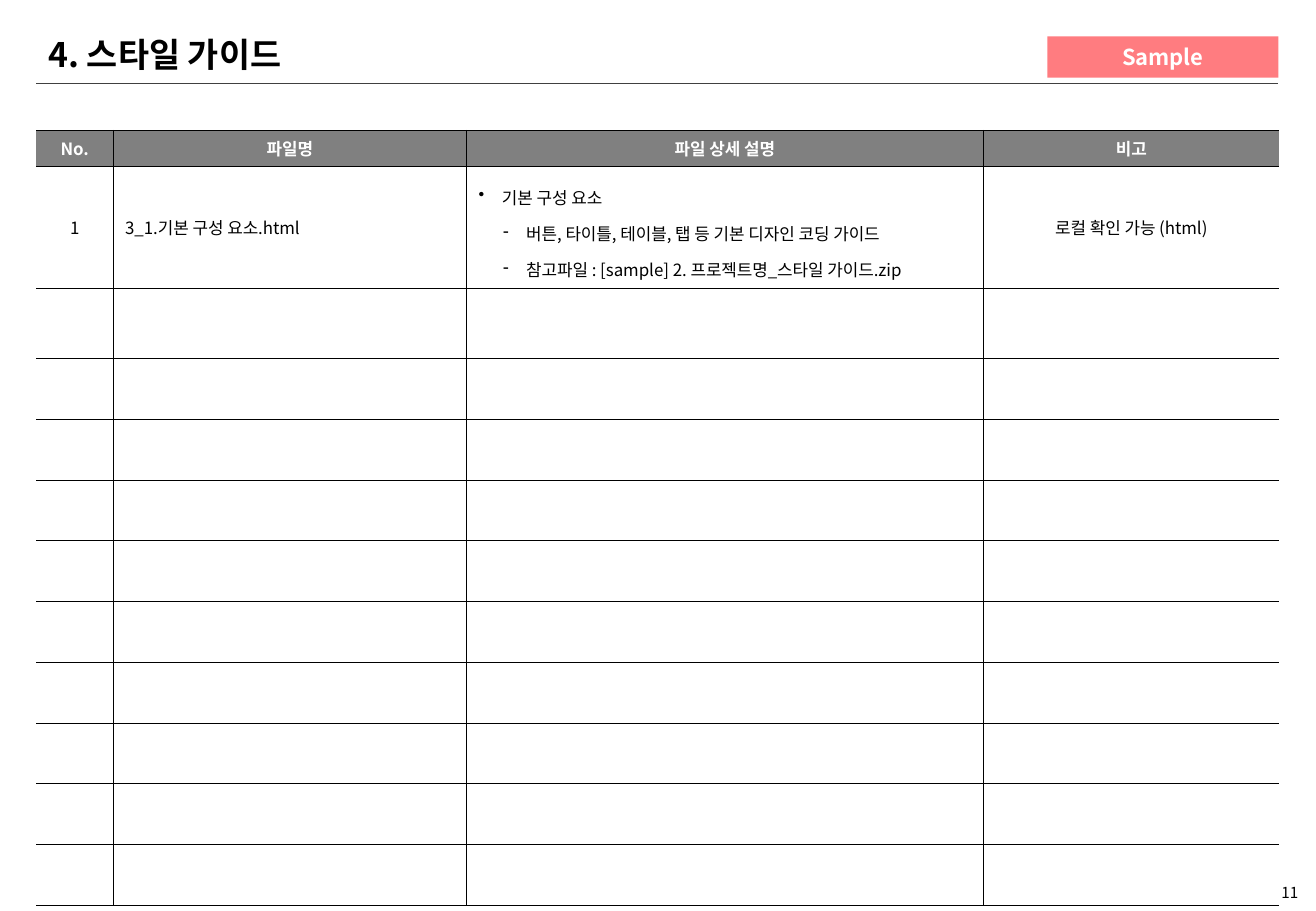
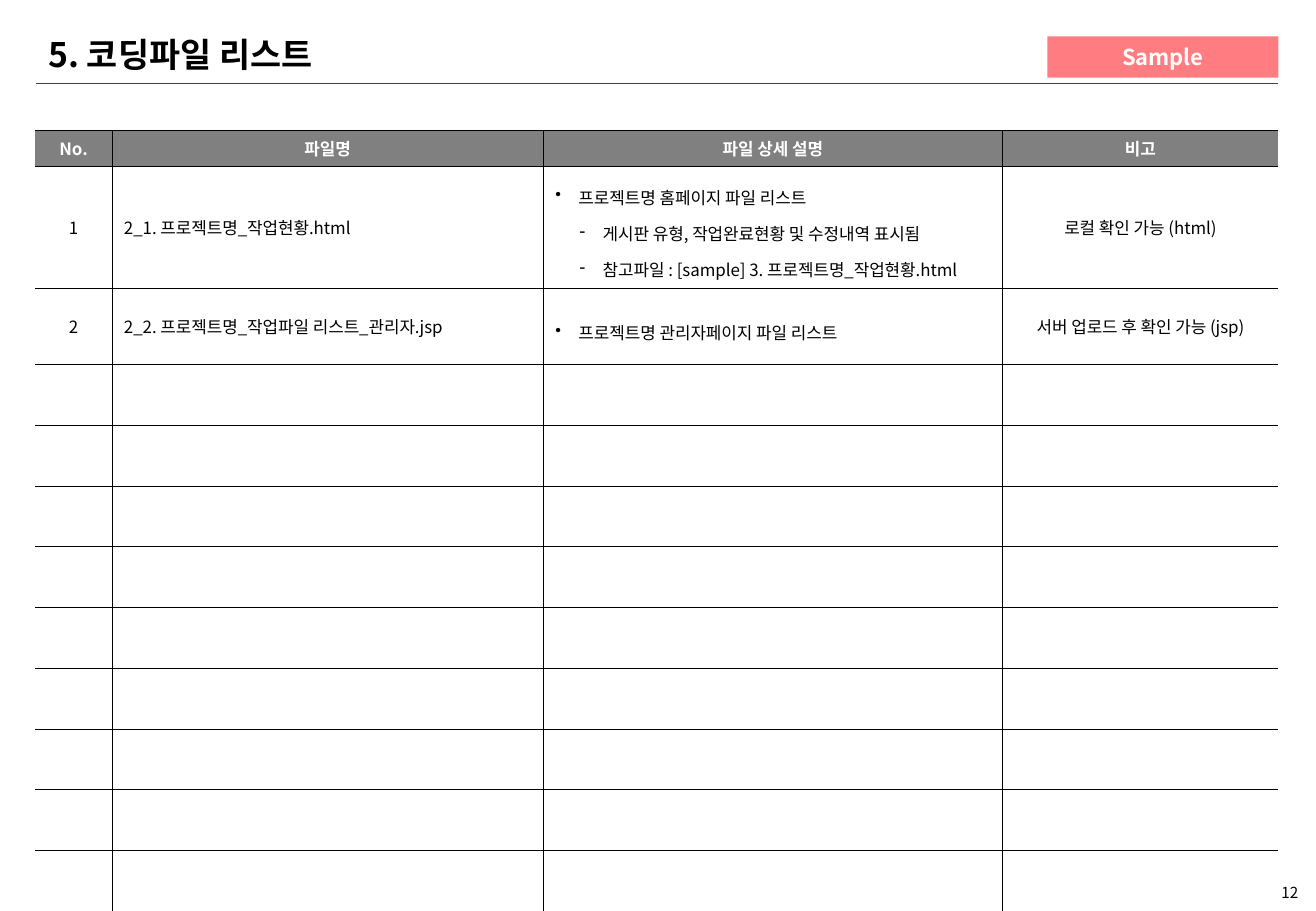
import dataclasses

import lxml.etree
import pptx
import pptx.dml.color
import pptx.enum.shapes
import pptx.enum.text
import pptx.oxml
import pptx.oxml.ns
import pptx.util

Inches = pptx.util.Inches
Pt = pptx.util.Pt
qn = pptx.oxml.ns.qn
ALIGN = pptx.enum.text.PP_ALIGN
MIDDLE = pptx.enum.text.MSO_ANCHOR.MIDDLE


@dataclasses.dataclass(frozen=True)
class Theme:
    font: str = "Noto Sans CJK KR"
    text: str = "000000"
    inverse: str = "FFFFFF"
    rule: str = "404040"
    header: str = "808080"
    body: str = "FFFFFF"
    badge: str = "FF7C80"
    border: str = "000000"
    title_size: float = 20
    badge_size: float = 13
    table_size: float = 10
    number_size: float = 9
    rule_width: float = 0.75
    border_width: float = 0.25


THEME = Theme()
NO_GRID_STYLE = "{2D5ABB26-0587-4C30-8999-92F81FD0307C}"
HEADINGS = ["No.", "파일명", "파일 상세 설명", "비고"]
COLUMN_ALIGNMENTS = [ALIGN.CENTER, ALIGN.LEFT, ALIGN.LEFT, ALIGN.CENTER]
ROW_COUNT = 12
HEADER_HEIGHT = 0.3
EMPTY_HEIGHT = 0.5
TABLE_TOP = 1.07
BULLET_MARKS = ["•", "-"]
BULLET_MARGINS = [0.19, 0.39]
BULLET_HANG = 0.19


def rgb(value):
    return pptx.dml.color.RGBColor.from_string(value)


def add_run(paragraph, text, size, color, bold=False):
    run = paragraph.add_run()
    run.text = text
    run.font.size = Pt(size)
    run.font.bold = bold
    run.font.name = THEME.font
    run.font.color.rgb = rgb(color)
    east_asian = lxml.etree.SubElement(run.font._element, qn("a:ea"))
    east_asian.set("typeface", THEME.font)


def add_label(slide, box, text, size, alignment, bold=False):
    shape = slide.shapes.add_textbox(*map(Inches, box))
    frame = shape.text_frame
    frame.word_wrap = True
    frame.vertical_anchor = MIDDLE
    frame.paragraphs[0].alignment = alignment
    add_run(frame.paragraphs[0], text, size, THEME.text, bold)


def add_rule(slide, left, right, top):
    line = slide.shapes.add_connector(
        pptx.enum.shapes.MSO_CONNECTOR.STRAIGHT,
        Inches(left), Inches(top), Inches(right), Inches(top))
    line.line.color.rgb = rgb(THEME.rule)
    line.line.width = Pt(THEME.rule_width)
    lxml.etree.SubElement(line._element.spPr, qn("a:effectLst"))


def add_badge(slide, box, text):
    shape = slide.shapes.add_shape(
        pptx.enum.shapes.MSO_SHAPE.RECTANGLE, *map(Inches, box))
    shape.shadow.inherit = False
    shape.fill.solid()
    shape.fill.fore_color.rgb = rgb(THEME.badge)
    shape.line.fill.background()
    frame = shape.text_frame
    frame.vertical_anchor = MIDDLE
    frame.margin_top = frame.margin_bottom = 0
    frame.paragraphs[0].alignment = ALIGN.CENTER
    add_run(frame.paragraphs[0], text, THEME.badge_size, THEME.inverse, True)


def set_bullet(paragraph, level):
    paragraph.level = level
    paragraph.line_spacing = 1.5
    properties = paragraph._p.get_or_add_pPr()
    properties.set("marL", str(Inches(BULLET_MARGINS[level])))
    properties.set("indent", str(-Inches(BULLET_HANG)))
    mark = lxml.etree.SubElement(properties, qn("a:buChar"))
    mark.set("char", BULLET_MARKS[level])


def set_borders(cell, sides):
    """Draw thin lines on the given sides, named L, R, T and B in that order."""
    properties = cell._tc.get_or_add_tcPr()
    for position, side in enumerate(sides):
        line = lxml.etree.Element(qn(f"a:ln{side}"))
        line.set("w", str(Pt(THEME.border_width)))
        fill = lxml.etree.SubElement(line, qn("a:solidFill"))
        lxml.etree.SubElement(fill, qn("a:srgbClr")).set("val", THEME.border)
        properties.insert(position, line)


def fill_cell(cell, content, alignment, is_header):
    """Write a string, or a list of strings as a bullet with sub-bullets."""
    cell.vertical_anchor = MIDDLE
    cell.fill.solid()
    cell.fill.fore_color.rgb = rgb(THEME.header if is_header else THEME.body)
    color = THEME.inverse if is_header else THEME.text
    bulleted = isinstance(content, list)
    frame = cell.text_frame
    for index, text in enumerate(content if bulleted else [content]):
        paragraph = frame.add_paragraph() if index else frame.paragraphs[0]
        paragraph.alignment = alignment
        if bulleted:
            set_bullet(paragraph, min(index, 1))
        if text:
            add_run(paragraph, text, THEME.table_size, color, is_header)


def add_file_table(slide, left, column_widths, body_heights, records):
    """Build the table, padding it with empty rows up to ROW_COUNT."""
    heights = [HEADER_HEIGHT, *body_heights]
    heights += [EMPTY_HEIGHT] * (ROW_COUNT - len(heights))
    contents = [HEADINGS, *records]
    contents += [[""] * len(HEADINGS)] * (ROW_COUNT - len(contents))
    frame = slide.shapes.add_table(
        ROW_COUNT, len(HEADINGS), Inches(left), Inches(TABLE_TOP),
        Inches(sum(column_widths)), Inches(sum(heights)))
    table = frame.table
    table.horz_banding = False
    table._tbl.tblPr.find(qn("a:tableStyleId")).text = NO_GRID_STYLE
    for column, width in zip(table.columns, column_widths):
        column.width = Inches(width)
    last_column = len(HEADINGS) - 1
    for row_index, (height, row) in enumerate(zip(heights, contents)):
        table.rows[row_index].height = Inches(height)
        is_header = row_index == 0
        for column_index, content in enumerate(row):
            cell = table.cell(row_index, column_index)
            alignment = ALIGN.CENTER if is_header else COLUMN_ALIGNMENTS[column_index]
            fill_cell(cell, content, alignment, is_header)
            left_side = "L" if column_index > 0 else ""
            right_side = "R" if column_index < last_column else ""
            set_borders(cell, left_side + right_side + "TB")


def add_page(presentation, title, number):
    slide = presentation.slides.add_slide(presentation.slide_layouts[6])
    add_rule(slide, 0.3, 10.52, 0.69)
    add_label(slide, (10.38, 7.19, 0.47, 0.31), str(number),
              THEME.number_size, ALIGN.CENTER)
    add_label(slide, (0.3, 0.21, 10.24, 0.47), title,
              THEME.title_size, ALIGN.LEFT, True)
    add_badge(slide, (8.62, 0.3, 1.9, 0.34), "Sample")
    return slide


def main():
    presentation = pptx.Presentation()
    presentation.slide_width = Inches(10.83)
    presentation.slide_height = Inches(7.5)

    style_guide = add_page(presentation, "4. 스타일 가이드", 11)
    add_file_table(style_guide, 0.3, [0.63, 2.91, 4.25, 2.44], [1, 0.58], [
        ["1", "3_1.기본 구성 요소.html",
         ["기본 구성 요소",
          "버튼, 타이틀, 테이블, 탭 등 기본 디자인 코딩 가이드",
          "참고파일 : [sample] 2. 프로젝트명_스타일 가이드.zip"],
         "로컬 확인 가능 (html)"],
    ])

    coding_files = add_page(presentation, "5. 코딩파일 리스트", 12)
    add_file_table(coding_files, 0.29, [0.63, 3.55, 3.78, 2.27], [1, 0.63], [
        ["1", "2_1. 프로젝트명_작업현황.html",
         ["프로젝트명 홈페이지 파일 리스트",
          "게시판 유형, 작업완료현황 및 수정내역 표시됨",
          "참고파일 : [sample] 3. 프로젝트명_작업현황.html"],
         "로컬 확인 가능 (html)"],
        ["2", "2_2. 프로젝트명_작업파일 리스트_관리자.jsp",
         ["프로젝트명 관리자페이지 파일 리스트"],
         "서버 업로드 후 확인 가능 (jsp)"],
    ])

    presentation.save("out.pptx")


if __name__ == "__main__":
    main()
